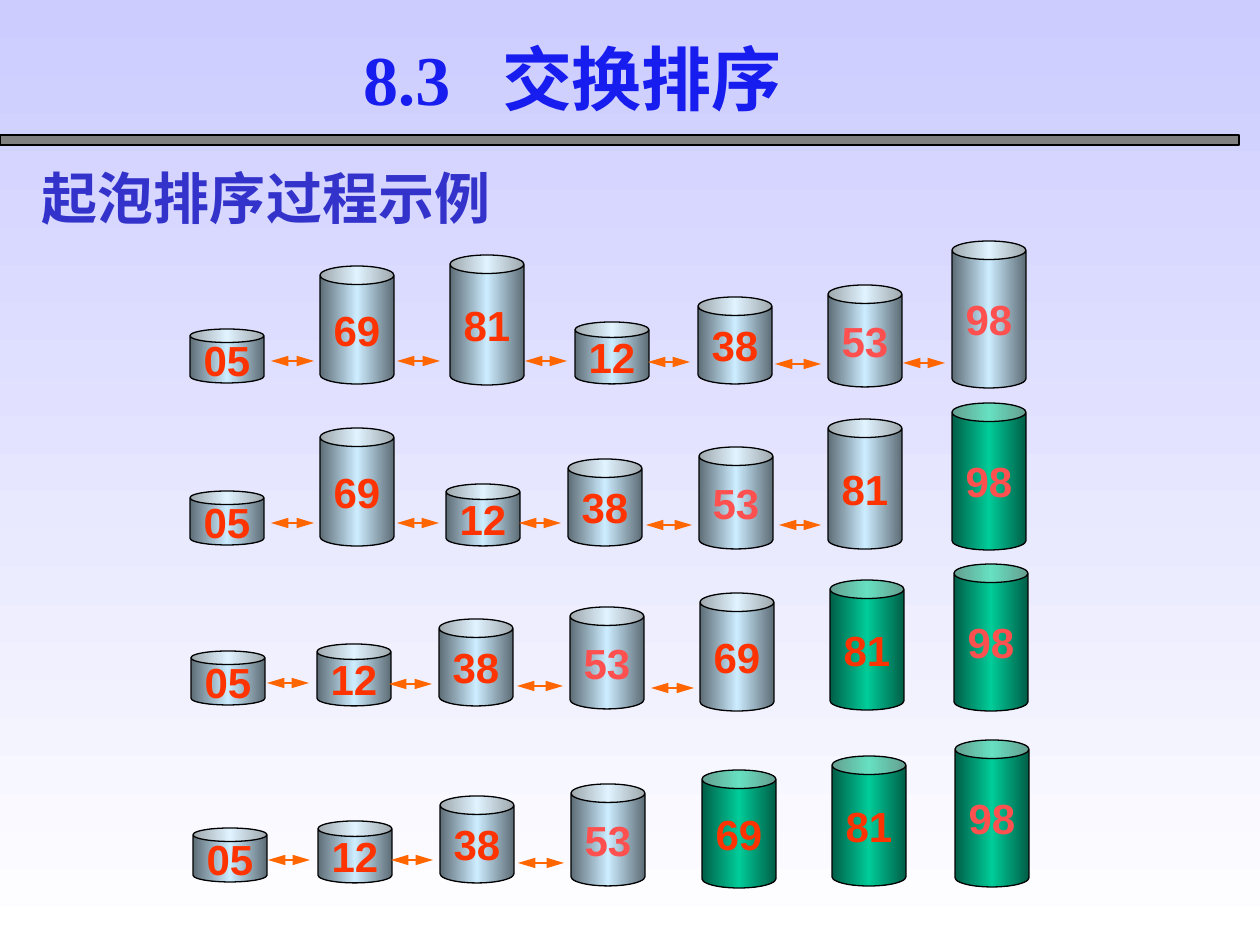
from copy import deepcopy

from pptx import Presentation
from pptx.dml.color import RGBColor
from pptx.enum.shapes import MSO_CONNECTOR, MSO_SHAPE
from pptx.enum.text import MSO_ANCHOR, PP_ALIGN
from pptx.oxml.ns import qn
from pptx.oxml.xmlchemy import OxmlElement
from pptx.util import Emu, Pt

CAN = MSO_SHAPE.CAN
RECTANGLE = MSO_SHAPE.RECTANGLE
STRAIGHT = MSO_CONNECTOR.STRAIGHT
TOP = MSO_ANCHOR.TOP
MIDDLE = MSO_ANCHOR.MIDDLE
BOTTOM = MSO_ANCHOR.BOTTOM
LEFT = PP_ALIGN.LEFT
CENTER = PP_ALIGN.CENTER

BLACK = RGBColor(0x00, 0x00, 0x00)
WHITE = RGBColor(0xFF, 0xFF, 0xFF)
GRAY = RGBColor(0x80, 0x80, 0x80)
LAVENDER = RGBColor(0xCC, 0xCC, 0xFF)
STEEL = RGBColor(0x5E, 0x6D, 0x76)
ICE = RGBColor(0xCC, 0xEC, 0xFF)
DARK_GREEN = RGBColor(0x00, 0x5E, 0x47)
GREEN = RGBColor(0x00, 0xCC, 0x99)
ORANGE = RGBColor(0xFF, 0x66, 0x00)
RED = RGBColor(0xFF, 0x33, 0x00)
CORAL = RGBColor(0xFF, 0x50, 0x50)
TITLE_BLUE = RGBColor(0x17, 0x1C, 0xEF)
HEADING_BLUE = RGBColor(0x33, 0x33, 0xCC)

CAN_WIDTH = 74
CAN_HEIGHTS = {"05": 54, "12": 62, "38": 87, "53": 102, "69": 118, "81": 130, "98": 147}
CORAL_VALUES = ("53", "98")

PASSES = [
    {
        "values": ["05", "69", "81", "12", "38", "53", "98"],
        "lefts": [190, 320, 450, 575, 698, 828, 952],
        "bottoms": [383, 384, 385, 384, 384, 387, 388],
        "arrows": [(271, 314, 361), (397, 440, 361), (525, 567, 361),
                   (648, 690, 362), (775, 821, 364), (903, 945, 363)],
        "sorted": 0,
    },
    {
        "values": ["05", "69", "12", "38", "53", "81", "98"],
        "lefts": [190, 320, 446, 568, 699, 828, 952],
        "bottoms": [545, 546, 546, 546, 549, 549, 550],
        "arrows": [(271, 314, 523), (397, 439, 523), (519, 561, 523),
                   (646, 692, 525), (779, 821, 525)],
        "sorted": 1,
    },
    {
        "values": ["05", "12", "38", "53", "69", "81", "98"],
        "lefts": [191, 317, 439, 570, 700, 830, 954],
        "bottoms": [705, 706, 706, 709, 711, 710, 711],
        "arrows": [(267, 309, 683), (389, 432, 684), (517, 563, 686), (651, 694, 688)],
        "sorted": 2,
    },
    {
        "values": ["05", "12", "38", "53", "69", "81", "98"],
        "lefts": [193, 318, 440, 571, 702, 832, 955],
        "bottoms": [882, 883, 883, 886, 888, 886, 887],
        "arrows": [(268, 310, 860), (391, 433, 860), (518, 564, 863)],
        "sorted": 3,
    },
]


def px(length):
    return Emu(round(length * 914400 / 126))


def paint_gradient(fill, holder, colors, angle):
    fill.gradient()
    fill.gradient_angle = angle
    stops = next(holder.iter(qn("a:gsLst")))
    while len(stops) < len(colors):
        stops.append(deepcopy(stops[-1]))
    for index, (stop, color) in enumerate(zip(fill.gradient_stops, colors)):
        stop.position = index / (len(colors) - 1)
        stop.color.rgb = color


def add_text_shadow(span):
    effects = OxmlElement("a:effectLst")
    shadow = OxmlElement("a:outerShdw")
    shadow.set("dist", str(px(3)))
    shadow.set("dir", "2700000")
    color = OxmlElement("a:srgbClr")
    color.set("val", str(GRAY))
    shadow.append(color)
    effects.append(shadow)
    properties = span.font._element
    properties.find(qn("a:solidFill")).addnext(effects)


def write_text(frame, text, *, size, color, font, east_asian=None, align=LEFT, anchor=TOP,
               wrap=True, insets=(13, 6), spacing=None, tab=None, shadow=False):
    frame.word_wrap = wrap
    frame.vertical_anchor = anchor
    frame.margin_left = frame.margin_right = px(insets[0])
    frame.margin_top = frame.margin_bottom = px(insets[1])
    para = frame.paragraphs[0]
    para.alignment = align
    if spacing:
        para.line_spacing = spacing
    if tab:
        tabs = OxmlElement("a:tabLst")
        stop = OxmlElement("a:tab")
        stop.set("pos", str(px(tab)))
        stop.set("algn", "l")
        tabs.append(stop)
        para._p.get_or_add_pPr().append(tabs)
    span = para.add_run()
    span.text = text
    span.font.size = Pt(size)
    span.font.bold = True
    span.font.color.rgb = color
    span.font.name = font
    if east_asian:
        typeface = OxmlElement("a:ea")
        typeface.set("typeface", east_asian)
        span.font._element.find(qn("a:latin")).addnext(typeface)
    if shadow:
        add_text_shadow(span)


class SortSlide:
    number_font = "Arial"
    latin_font = "Times New Roman"
    chinese_font = "Noto Sans CJK SC"

    def __init__(self, page):
        self.page = page

    def background(self, colors):
        paint_gradient(self.page.background.fill, self.page._element, colors, 270)

    def shape(self, kind, left, top, width, height):
        shape = self.page.shapes.add_shape(kind, px(left), px(top), px(width), px(height))
        shape.shadow.inherit = False
        shape.line.color.rgb = BLACK
        shape.line.width = Pt(0.75)
        return shape

    def bar(self, left, top, width, height):
        bar = self.shape(RECTANGLE, left, top, width, height)
        bar.fill.solid()
        bar.fill.fore_color.rgb = GRAY

    def can(self, value, left, bottom, is_sorted):
        height = CAN_HEIGHTS[value]
        can = self.shape(CAN, left, bottom - height, CAN_WIDTH, height)
        edge, middle = (DARK_GREEN, GREEN) if is_sorted else (STEEL, ICE)
        paint_gradient(can.fill, can._element, (edge, middle, edge), 0)
        write_text(can.text_frame, value, size=24, font=self.number_font,
                   color=CORAL if value in CORAL_VALUES else RED,
                   align=CENTER, anchor=MIDDLE, wrap=False)

    def arrow(self, start, end, y):
        arrow = self.page.shapes.add_connector(STRAIGHT, px(start), px(y), px(end), px(y))
        arrow.line.color.rgb = ORANGE
        arrow.line.width = Pt(1.5)
        for side in ("a:headEnd", "a:tailEnd"):
            tip = OxmlElement(side)
            tip.set("type", "triangle")
            tip.set("w", "med")
            tip.set("len", "lg")
            arrow.line._get_or_add_ln().append(tip)
        arrow._element.spPr.append(OxmlElement("a:effectLst"))

    def text(self, text, left, top, width, height, **style):
        box = self.page.shapes.add_textbox(px(left), px(top), px(width), px(height))
        write_text(box.text_frame, text, east_asian=self.chinese_font, shadow=True, **style)


def main():
    deck = Presentation()
    deck.slide_width, deck.slide_height = px(1260), px(945)
    slide = SortSlide(deck.slides.add_slide(deck.slide_layouts[6]))
    slide.background((LAVENDER, WHITE))
    slide.bar(0, 135, 1239, 10)
    slide.text("8.3\t交换排序", 350, 39, 496, 97, size=40, color=TITLE_BLUE,
               font=slide.latin_font, spacing=0.9, tab=139)
    slide.text("起泡排序过程示例", 29, 156, 693, 76, size=32, color=HEADING_BLUE,
               font=slide.chinese_font, anchor=BOTTOM, insets=(13, 0), spacing=0.9)
    for row in PASSES:
        first_sorted = len(row["values"]) - row["sorted"]
        cans = zip(row["values"], row["lefts"], row["bottoms"])
        for index, (value, left, bottom) in enumerate(cans):
            slide.can(value, left, bottom, index >= first_sorted)
        for start, end, y in row["arrows"]:
            slide.arrow(start, end, y)
    deck.save("out.pptx")


if __name__ == "__main__":
    main()
